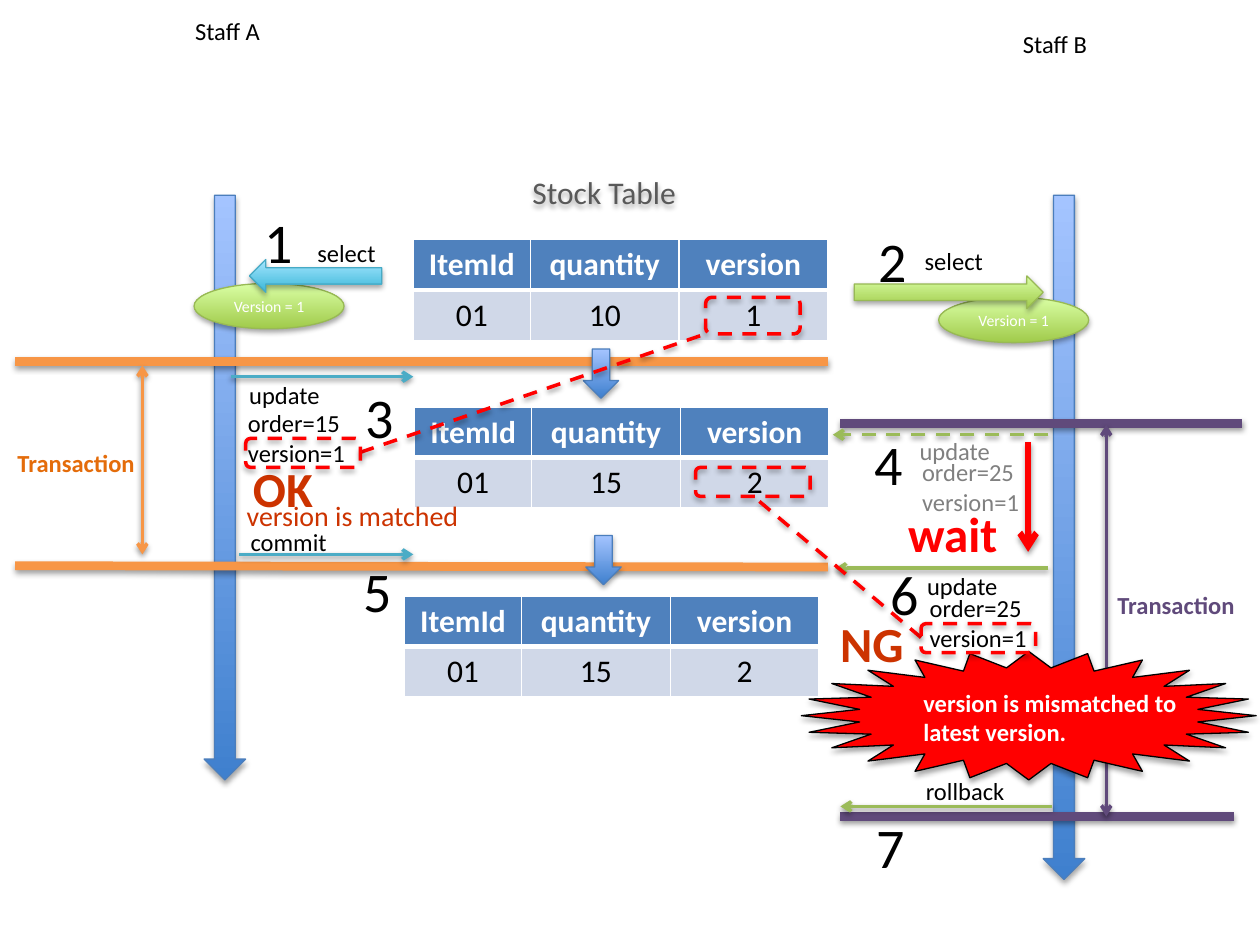
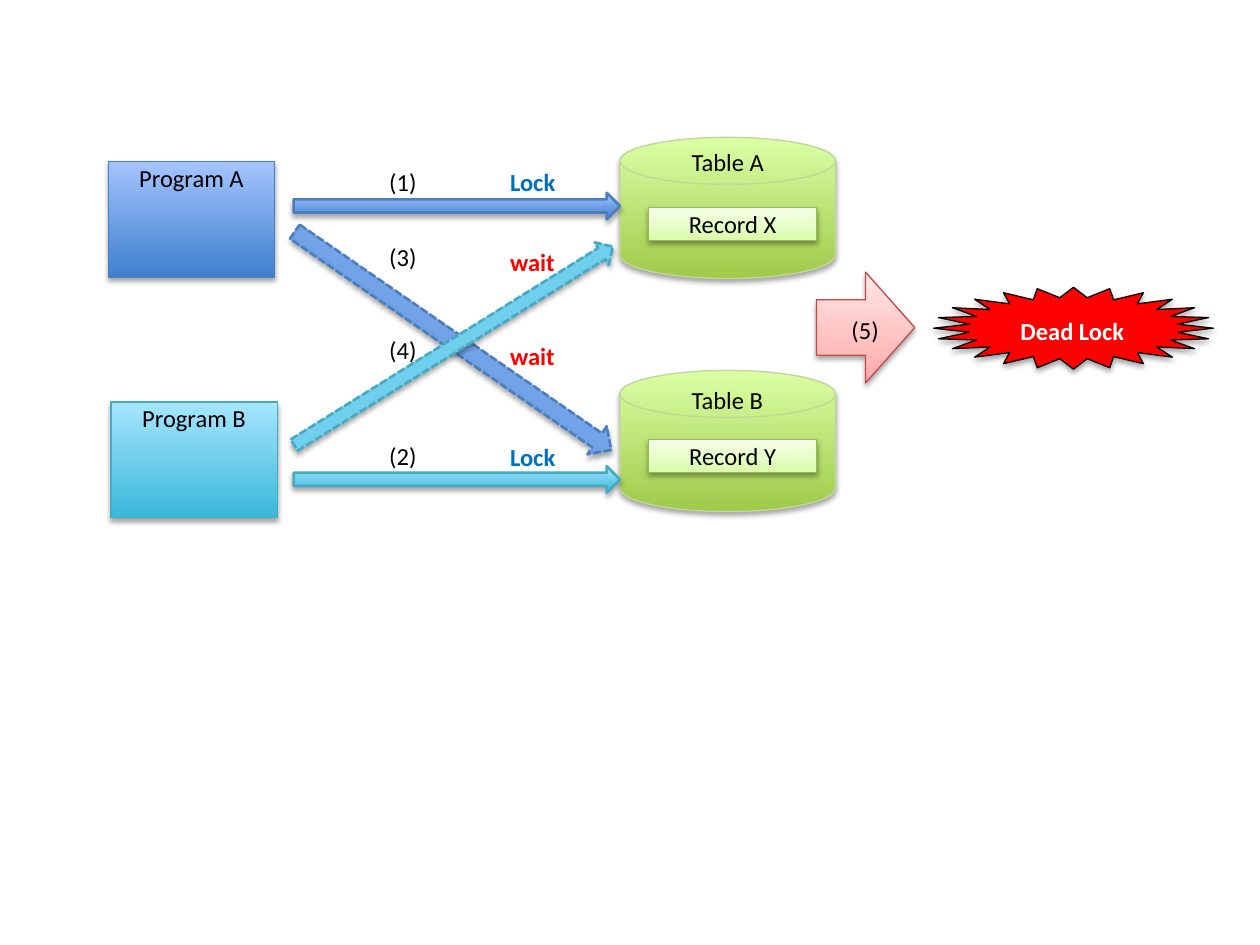
"""Build two slides on database locking: optimistic version checks and a deadlock."""
from lxml import etree
from pptx import Presentation
from pptx.dml.color import RGBColor
from pptx.enum import dml, shapes, text
from pptx.oxml.ns import qn
from pptx.util import Inches, Pt

FONT = "Calibri"
BLACK = RGBColor(0x00, 0x00, 0x00)
WHITE = RGBColor(0xFF, 0xFF, 0xFF)
RED = RGBColor(0xFF, 0x00, 0x00)
VERDICT_RED = RGBColor(0xCC, 0x33, 0x00)
GRAY = RGBColor(0x80, 0x80, 0x80)
TITLE_GRAY = RGBColor(0x59, 0x59, 0x59)
ORANGE = RGBColor(0xF7, 0x96, 0x46)
DARK_ORANGE = RGBColor(0xE4, 0x6C, 0x0A)
PURPLE = RGBColor(0x60, 0x4A, 0x7B)
TEAL = RGBColor(0x4B, 0xAC, 0xC6)
GREEN = RGBColor(0x9B, 0xBB, 0x59)
LOCK_BLUE = RGBColor(0x00, 0x70, 0xC0)
HEADER_BLUE = RGBColor(0x4F, 0x81, 0xBD)
ROW_BLUE = RGBColor(0xD0, 0xD8, 0xE8)
BLUE_EDGE = RGBColor(0x4B, 0x7E, 0xBC)
CYAN_EDGE = RGBColor(0x46, 0xAA, 0xC5)
LIME_EDGE = RGBColor(0x98, 0xB9, 0x55)
DISK_EDGE = RGBColor(0xC3, 0xD6, 0x9B)
PINK_EDGE = RGBColor(0xBF, 0x4C, 0x48)

BLUE_SHADE = ((0, RGBColor(0x3F, 0x80, 0xCE)), (100, RGBColor(0xA4, 0xC4, 0xFF)))
CYAN_SHADE = ((0, RGBColor(0x39, 0xB7, 0xD8)), (100, RGBColor(0xA7, 0xE6, 0xFF)))
LIME_SHADE = ((0, RGBColor(0xA0, 0xCA, 0x4A)), (100, RGBColor(0xDA, 0xFF, 0xA5)))
PALE_LIME_SHADE = ((0, RGBColor(0xDA, 0xFD, 0xA7)), (35, RGBColor(0xE4, 0xFC, 0xC2)),
                   (100, RGBColor(0xF5, 0xFF, 0xE7)))
PINK_SHADE = ((0, RGBColor(0xFF, 0xA6, 0xA5)), (35, RGBColor(0xFF, 0xC0, 0xBF)),
              (100, RGBColor(0xFF, 0xE7, 0xE7)))

BLUE = (BLUE_SHADE, BLUE_EDGE)
CYAN = (CYAN_SHADE, CYAN_EDGE)
LIME = (LIME_SHADE, LIME_EDGE)
DISK = (LIME_SHADE, DISK_EDGE)
PALE_LIME = (PALE_LIME_SHADE, LIME_EDGE)
PINK = (PINK_SHADE, PINK_EDGE)
ALARM = (RED, BLACK)
MARK = (None, RED)

KIND = shapes.MSO_SHAPE
DASH = dml.MSO_LINE.DASH
SHORT_DASH = dml.MSO_LINE.SQUARE_DOT
TOP = text.MSO_ANCHOR.TOP
MIDDLE = text.MSO_ANCHOR.MIDDLE
LEFT = text.PP_ALIGN.LEFT
CENTER = text.PP_ALIGN.CENTER


def add_color(parent, color):
    return etree.SubElement(parent, qn("a:srgbClr"), val=str(color))


def cast_shadow(properties, opacity=35, distance=1.8):
    effects = properties.find(qn("a:effectLst"))
    if effects is None:
        effects = etree.SubElement(properties, qn("a:effectLst"))
    shadow = etree.SubElement(effects, qn("a:outerShdw"), blurRad=str(Pt(3.1)),
                              dist=str(Pt(distance)), dir="5400000", rotWithShape="0")
    etree.SubElement(add_color(shadow, BLACK), qn("a:alpha"), val=str(opacity * 1000))


def shade(shape, stops):
    shape.fill.gradient()
    shape.fill.gradient_angle = 90
    stop_list = shape.element.spPr.find(qn("a:gradFill")).find(qn("a:gsLst"))
    stop_list.clear()
    for position, color in stops:
        add_color(etree.SubElement(stop_list, qn("a:gs"), pos=str(position * 1000)), color)


def write(frame, lines, size, color, bold=False, align=LEFT, anchor=TOP):
    frame.word_wrap = True
    frame.vertical_anchor = anchor
    frame.text = "\n".join(lines)
    for paragraph in frame.paragraphs:
        paragraph.alignment = align
        font = paragraph.font
        font.name, font.size, font.bold = FONT, Pt(size), bold
        font.color.rgb = color


def add_label(slide, x, y, width, height, *lines, size=14, color=BLACK, **style):
    label = slide.shapes.add_textbox(Inches(x), Inches(y), Inches(width), Inches(height))
    write(label.text_frame, lines, size, color, **style)
    return label


def add_figure(slide, kind, x, y, width, height, look, weight=0.75, dash=None, angle=0):
    figure = slide.shapes.add_shape(kind, Inches(x), Inches(y), Inches(width), Inches(height))
    fill, edge = look
    if fill is None:
        figure.fill.background()
    elif isinstance(fill, RGBColor):
        figure.fill.solid()
        figure.fill.fore_color.rgb = fill
    else:
        shade(figure, fill)
    figure.line.color.rgb = edge
    figure.line.width = Pt(weight)
    if dash is not None:
        figure.line.dash_style = dash
    figure.rotation = angle
    figure.shadow.inherit = False
    cast_shadow(figure.element.spPr)
    return figure


def add_box(slide, x, y, width, height, look, caption):
    box = add_figure(slide, KIND.RECTANGLE, x, y, width, height, look)
    frame = box.text_frame
    frame.margin_left = frame.margin_right = Inches(0.08)
    frame.margin_top = frame.margin_bottom = Inches(0.01)
    write(frame, [caption], 14, BLACK, align=CENTER)


def add_line(slide, start, end, color, weight=2, dash=None, arrows=()):
    line = slide.shapes.add_connector(shapes.MSO_CONNECTOR.STRAIGHT,
                                      *map(Inches, start), *map(Inches, end))
    line.line.color.rgb = color
    line.line.width = Pt(weight)
    if dash is not None:
        line.line.dash_style = dash
    properties = line.element.spPr
    for arrow in arrows:
        etree.SubElement(properties.find(qn("a:ln")), qn(f"a:{arrow}"), type="arrow")
    cast_shadow(properties, 38, 1.6)


def border(cell, side, weight):
    edge = etree.SubElement(cell._tc.get_or_add_tcPr(), qn(f"a:{side}"), w=str(Pt(weight)))
    add_color(etree.SubElement(edge, qn("a:solidFill")), WHITE)


def add_stock_table(slide, x, y, quantity, version):
    rows = (("ItemId", "quantity", "version"), ("01", quantity, version))
    table = slide.shapes.add_table(2, 3, Inches(x), Inches(y), Inches(3.29), Inches(0.8)).table
    table.horz_banding = False
    for column, width in zip(table.columns, (0.93, 1.18, 1.18)):
        column.width = Inches(width)
    for r, values in enumerate(rows):
        header = r == 0
        for c, value in enumerate(values):
            cell = table.cell(r, c)
            for side in ("lnL", "lnR", "lnT", "lnB"):
                border(cell, side, 3 if header and side == "lnB" else 1)
            cell.fill.solid()
            cell.fill.fore_color.rgb = HEADER_BLUE if header else ROW_BLUE
            write(cell.text_frame, [value], 18, WHITE if header else BLACK, header, CENTER)


def add_version_read(slide, ellipse_at, arrow, arrow_at, look):
    ellipse = add_figure(slide, KIND.OVAL, *ellipse_at, 1.19, 0.36, LIME)
    write(ellipse.text_frame, ["Version = 1"], 9, WHITE, align=CENTER, anchor=MIDDLE)
    add_figure(slide, arrow, *arrow_at, 0.26, look)


def add_transaction_lines(slide):
    both, forward = ("headEnd", "tailEnd"), ("tailEnd",)
    for start, end, color in (
            ((0.12, 2.87), (6.57, 2.87), ORANGE), ((0.12, 4.49), (6.57, 4.5), ORANGE),
            ((6.67, 3.36), (9.86, 3.36), PURPLE), ((6.67, 6.48), (9.79, 6.48), PURPLE)):
        add_line(slide, start, end, color, 5)
    add_line(slide, (1.13, 2.9), (1.13, 4.4), ORANGE, arrows=both)
    add_line(slide, (8.78, 3.37), (8.78, 6.48), PURPLE, arrows=both)
    add_line(slide, (8.16, 3.51), (8.16, 4.38), RED, 3.5, arrows=forward)
    for left, right, y, color, dash in (
            (1.83, 3.28, 2.99, TEAL, None), (1.9, 3.28, 4.4, TEAL, None),
            (8.32, 6.61, 3.45, GREEN, DASH), (8.32, 6.63, 4.51, GREEN, None),
            (8.35, 6.67, 6.4, GREEN, None)):
        add_line(slide, (left, y), (right, y), color, dash=dash, arrows=forward)


def add_step_labels(slide):
    steps = ((2, 1.6), (6.87, 1.75), (2.8, 2.99), (6.84, 3.36), (2.79, 4.37), (6.97, 4.39),
             (6.86, 6.4))
    for number, (x, y) in enumerate(steps, 1):
        add_label(slide, x, y, 0.55, 0.48, str(number), size=32)
    for x, y, color, *lines in (
            (1.45, 0.08, BLACK, "Staff A"), (8.02, 0.18, BLACK, "Staff B"),
            (2.42, 1.84, BLACK, "select"), (7.24, 1.9, BLACK, "select"),
            (1.88, 2.97, BLACK, "update"), (1.87, 3.19, BLACK, "order=15", "version=1"),
            (7.2, 3.41, GRAY, "update"), (7.22, 3.58, GRAY, "order=25", "version=1"),
            (7.26, 4.48, BLACK, "update"), (7.28, 4.66, BLACK, "order=25", "version=1"),
            (1.89, 4.13, BLACK, "commit"), (7.25, 6.11, BLACK, "rollback")):
        add_label(slide, x, y, 1.03, 0.25, *lines, color=color)
    add_label(slide, 0.04, 3.51, 1.21, 0.25, "Transaction", color=DARK_ORANGE, bold=True)
    add_label(slide, 8.77, 4.63, 1.2, 0.25, "Transaction", color=PURPLE, bold=True)


def build_version_check(slide):
    for x, length in ((1.62, 4.64), (8.28, 5.43)):
        add_figure(slide, KIND.DOWN_ARROW, x, 1.55, 0.33, length, BLUE)
    title = add_label(slide, 3.82, 1.21, 1.95, 0.62, "Stock Table", size=18,
                      color=TITLE_GRAY, align=CENTER, anchor=MIDDLE)
    cast_shadow(title.element.spPr)
    add_stock_table(slide, 3.28, 1.9, "10", "1")
    add_transaction_lines(slide)
    add_step_labels(slide)
    for x, y in ((4.65, 4.25), (4.63, 2.77)):
        add_figure(slide, KIND.DOWN_ARROW, x, y, 0.28, 0.39, BLUE)
    add_stock_table(slide, 3.29, 3.23, "15", "2")
    add_figure(slide, KIND.STAR_24_POINT, 6.36, 5.17, 3.61, 1.02, ALARM)
    add_label(slide, 7.23, 5.41, 2.62, 0.89, "version is mismatched to latest version.",
              color=WHITE, bold=True)
    add_stock_table(slide, 3.21, 4.73, "15", "2")
    for x, y, verdict, color in ((7.11, 3.95, "wait", RED), (6.57, 4.82, "NG", VERDICT_RED),
                                 (1.91, 3.59, "OK", VERDICT_RED)):
        add_label(slide, x, y, 1.03, 0.52, verdict, size=28, color=color, bold=True)
    add_label(slide, 1.86, 3.91, 1.98, 0.49, "version is matched", size=16, color=VERDICT_RED)
    add_line(slide, (2.86, 3.59), (5.6, 2.65), RED, dash=DASH)
    add_line(slide, (7.31, 5.06), (5.98, 3.94), RED, dash=DASH)
    for x, y, width, height in ((1.95, 3.48, 0.91, 0.23), (5.6, 2.36, 0.75, 0.29),
                                (5.52, 3.71, 0.91, 0.23), (7.31, 4.95, 0.91, 0.23)):
        add_figure(slide, KIND.ROUNDED_RECTANGLE, x, y, width, height, MARK, 2, DASH)
    add_version_read(slide, (7.45, 2.36), KIND.RIGHT_ARROW, (6.78, 2.19, 1.5), LIME)
    add_version_read(slide, (1.54, 2.25), KIND.LEFT_ARROW, (1.98, 2.06, 1.05), CYAN)


def build_deadlock(slide):
    add_figure(slide, KIND.STAR_24_POINT, 7.41, 2.28, 2.22, 0.65, ALARM)
    add_box(slide, 0.86, 1.28, 1.32, 0.92, BLUE, "Program A")
    add_box(slide, 0.88, 3.19, 1.32, 0.92, CYAN, "Program B")
    for disk_y, name_y, record_y, name, record in (
            (1.09, 1.12, 1.65, "Table A", "Record X"), (2.94, 3.01, 3.49, "Table B", "Record Y")):
        add_figure(slide, KIND.FLOWCHART_MAGNETIC_DISK, 4.92, disk_y, 1.71, 1.12, DISK)
        add_label(slide, 5.39, name_y, 1.06, 0.25, name)
        add_box(slide, 5.15, record_y, 1.33, 0.26, PALE_LIME, record)
    for x, y, width, height, look, dash, angle in (
            (2.33, 1.53, 2.59, 0.21, BLUE, None, 0),
            (2.07, 2.57, 3.05, 0.27, BLUE, SHORT_DASH, 34.6),
            (2.33, 3.7, 2.59, 0.21, CYAN, None, 0),
            (2.11, 2.64, 2.98, 0.21, CYAN, SHORT_DASH, 328.1)):
        add_figure(slide, KIND.RIGHT_ARROW, x, y, width, height, look, 1.5, dash, angle)
    for number, y, state_y, state, color in (
            (1, 1.28, 1.28, "Lock", LOCK_BLUE), (2, 3.45, 3.46, "Lock", LOCK_BLUE),
            (3, 1.87, 1.91, "wait", RED), (4, 2.61, 2.66, "wait", RED)):
        add_label(slide, 2.99, y, 0.52, 0.25, f"({number})")
        add_label(slide, 3.95, state_y, 0.74, 0.25, state, color=color, bold=True)
    add_label(slide, 8, 2.46, 1.27, 0.25, "Dead Lock", color=WHITE, bold=True)
    add_figure(slide, KIND.RIGHT_ARROW, 6.48, 2.16, 0.78, 0.88, PINK)
    add_label(slide, 6.66, 2.45, 0.47, 0.25, "(5)")


def main():
    deck = Presentation()
    deck.slide_width, deck.slide_height = Inches(10), Inches(7.5)
    for build in (build_version_check, build_deadlock):
        build(deck.slides.add_slide(deck.slide_layouts[6]))
    deck.save("out.pptx")


main()
